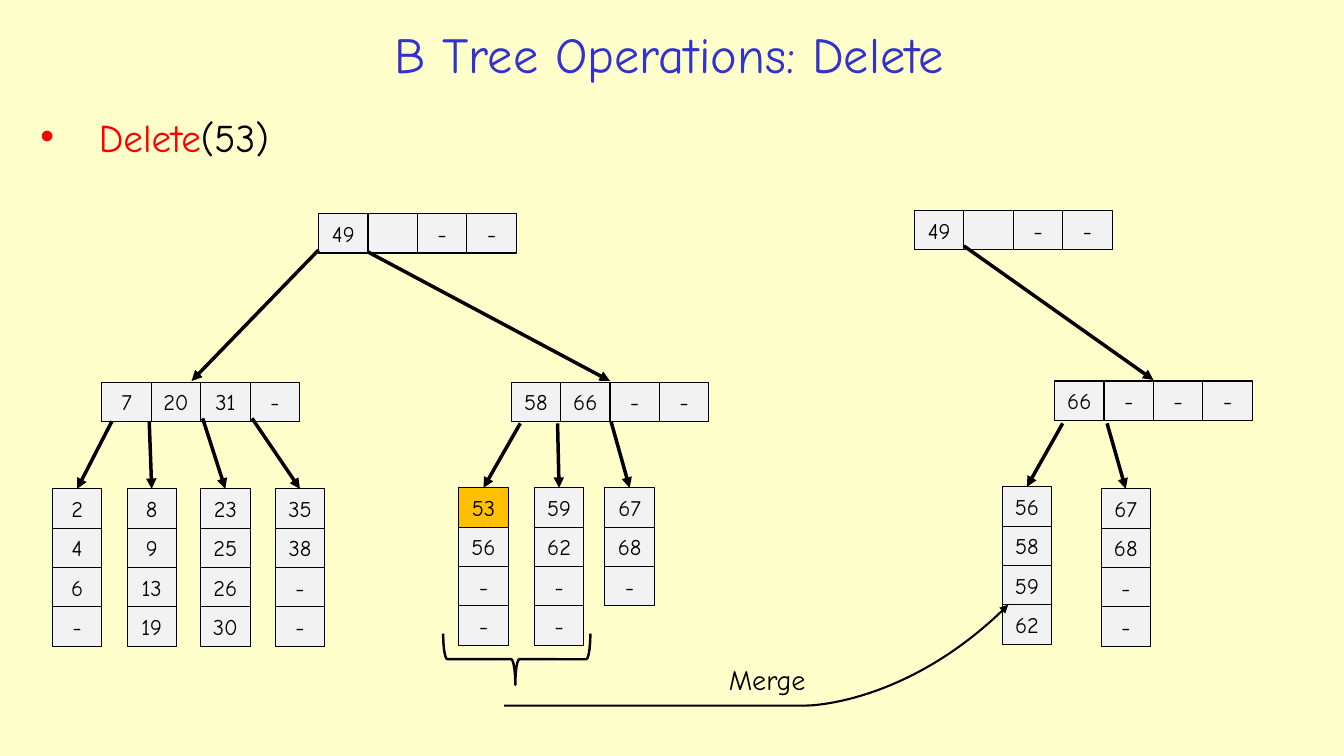
import dataclasses
import typing

import lxml.etree
import pptx
import pptx.dml.color
import pptx.enum.shapes
import pptx.enum.text
import pptx.oxml.ns
import pptx.util

Inches = pptx.util.Inches
Pt = pptx.util.Pt
qn = pptx.oxml.ns.qn
Point = tuple[float, float]

FONT = "Comic Neue"
COLORS = {
    "background": "FFFFCC",
    "title": "3333CC",
    "keyword": "FF0000",
    "ink": "000000",
    "cell": "F2F2F2",
    "deleted": "FFC000",
}
CELL_WIDTH, CELL_HEIGHT = 0.49, 0.39
DELETED_KEY = "53"


@dataclasses.dataclass
class Node:
    """A run of key cells, laid out across or down."""
    left: float
    top: float
    keys: list[str]
    vertical: bool = False
    arrow_from: Point | None = None  # start of the arrow to the first cell


@dataclasses.dataclass
class Arrow:
    start: Point
    end: Point


INNER_NODES = [
    Node(3.16, 2.12, ["49", "", "-", "-"]),
    Node(1.01, 3.79, ["7", "20", "31", "-"]),
    Node(5.07, 3.79, ["58", "66", "-", "-"]),
    Node(9.07, 2.09, ["49", "", "-", "-"]),
    Node(10.46, 3.78, ["66", "-", "-", "-"]),
]
LEAVES = [
    Node(0.52, 4.85, ["2", "4", "6", "-"], True, (1.11, 4.18)),
    Node(1.26, 4.85, ["8", "9", "13", "19"], True, (1.48, 4.18)),
    Node(1.99, 4.85, ["23", "25", "26", "30"], True, (2.01, 4.15)),
    Node(2.73, 4.85, ["35", "38", "-", "-"], True, (2.5, 4.15)),
    Node(4.55, 4.84, [DELETED_KEY, "56", "-", "-"], True, (5.16, 4.2)),
    Node(5.3, 4.84, ["59", "62", "-", "-"], True, (5.53, 4.2)),
    Node(6, 4.84, ["67", "68", "-"], True, (6.06, 4.18)),
    Node(9.94, 4.83, ["56", "58", "59", "62"], True, (10.54, 4.2)),
    Node(10.92, 4.85, ["67", "68", "-", "-"], True, (10.98, 4.2)),
]
ROOT_ARROWS = [
    Arrow((3.16, 2.48), (1.9, 3.78)),
    Arrow((3.65, 2.5), (6.05, 3.78)),
    Arrow((9.56, 2.44), (11.44, 3.77)),
]
# Start point, then two control points and an end point per curve
MERGE_CURVE = [(5.36, 6.67), (6.14, 6.83), (6.93, 7), (7.63, 6.95),
               (8.33, 6.91), (8.94, 6.65), (9.56, 6.39)]


def rgb(name: str) -> pptx.dml.color.RGBColor:
    return pptx.dml.color.RGBColor.from_string(COLORS[name])


def add_text(paragraph: typing.Any, text: str, *, size: float, color: str = "ink",
             align: typing.Any = None) -> None:
    run = paragraph.add_run()
    run.text = text
    run.font.name = FONT
    run.font.size = Pt(size)
    run.font.color.rgb = rgb(color)
    if align is not None:
        paragraph.alignment = align


def place(shape: typing.Any, left: float, top: float, width: float, height: float) -> None:
    shape.left, shape.top = Inches(left), Inches(top)
    shape.width, shape.height = Inches(width), Inches(height)


def style_line(shape: typing.Any, width: float, arrowhead: bool = False) -> None:
    shape.line.color.rgb = rgb("ink")
    shape.line.width = Pt(width)
    if arrowhead:
        line = shape._element.spPr.find(qn("a:ln"))
        lxml.etree.SubElement(line, qn("a:tailEnd"), type="triangle")


def add_cell(slide: typing.Any, left: float, top: float, key: str) -> typing.Any:
    cell = slide.shapes.add_shape(
        pptx.enum.shapes.MSO_SHAPE.RECTANGLE,
        Inches(left), Inches(top), Inches(CELL_WIDTH), Inches(CELL_HEIGHT))
    cell.shadow.inherit = False
    cell.fill.solid()
    cell.fill.fore_color.rgb = rgb("deleted" if key == DELETED_KEY else "cell")
    style_line(cell, 0.75)
    frame = cell.text_frame
    frame.margin_left = frame.margin_right = 0
    frame.vertical_anchor = pptx.enum.text.MSO_ANCHOR.MIDDLE
    if key:
        add_text(frame.paragraphs[0], key, size=16, align=pptx.enum.text.PP_ALIGN.CENTER)
    return cell


def add_arrow(slide: typing.Any, arrow: Arrow, target: typing.Any = None) -> None:
    connector = slide.shapes.add_connector(
        pptx.enum.shapes.MSO_CONNECTOR.STRAIGHT,
        *(Inches(value) for value in arrow.start + arrow.end))
    style_line(connector, 2.5, arrowhead=True)
    lxml.etree.SubElement(connector._element.spPr, qn("a:effectLst"))
    if target is not None:
        connector.end_connect(target, 0)


def add_node(slide: typing.Any, node: Node) -> None:
    step_x, step_y = (0, CELL_HEIGHT) if node.vertical else (CELL_WIDTH, 0)
    cells = [add_cell(slide, node.left + index * step_x, node.top + index * step_y, key)
             for index, key in enumerate(node.keys)]
    if node.arrow_from:
        top_middle = (node.left + CELL_WIDTH / 2, node.top)
        add_arrow(slide, Arrow(node.arrow_from, top_middle), cells[0])


def add_curve(slide: typing.Any, points: list[Point]) -> None:
    builder = slide.shapes.build_freeform(*points[0], scale=Inches(1))
    builder.add_line_segments(points[1:], close=False)
    curve = builder.convert_to_shape()
    # Turn each three line segments into one cubic curve
    segments = list(curve._element.iter(qn("a:lnTo")))
    for first in range(0, len(segments), 3):
        cubic = lxml.etree.Element(qn("a:cubicBezTo"))
        segments[first].addprevious(cubic)
        for segment in segments[first:first + 3]:
            cubic.append(segment[0])
            segment.getparent().remove(segment)
    curve.shadow.inherit = False
    curve.fill.background()
    style_line(curve, 1.5, arrowhead=True)


def add_headings(slide: typing.Any) -> None:
    title, body = slide.shapes.title, slide.placeholders[1]
    place(title, 0.97, 0.15, 11.33, 0.76)
    title.text_frame.vertical_anchor = pptx.enum.text.MSO_ANCHOR.MIDDLE
    add_text(title.text_frame.paragraphs[0], "B Tree Operations: Delete", size=36,
             color="title", align=pptx.enum.text.PP_ALIGN.CENTER)

    place(body, 0.3, 1.07, 12.67, 0.69)
    body.text_frame.auto_size = pptx.enum.text.MSO_AUTO_SIZE.NONE
    paragraph = body.text_frame.paragraphs[0]
    properties = paragraph._p.get_or_add_pPr()
    properties.set("marL", str(Inches(0.58)))
    properties.set("indent", str(-Inches(0.58)))
    lxml.etree.SubElement(properties, qn("a:buChar"), char="•")
    paragraph.space_before = Pt(0)
    add_text(paragraph, "Delete", size=28, color="keyword")
    add_text(paragraph, "(53)", size=28)


def add_merge(slide: typing.Any) -> None:
    brace = slide.shapes.add_shape(
        pptx.enum.shapes.MSO_SHAPE.RIGHT_BRACE,
        Inches(4.87), Inches(5.81), Inches(0.51), Inches(1.46))
    brace.rotation = 90
    brace.adjustments[0], brace.adjustments[1] = 0.08, 0.51
    brace.shadow.inherit = False
    brace.fill.background()
    style_line(brace, 1.75)
    add_curve(slide, MERGE_CURVE)
    label = slide.shapes.add_textbox(Inches(7.13), Inches(6.52), Inches(1.04), Inches(0.44))
    label.text_frame.word_wrap = False
    add_text(label.text_frame.paragraphs[0], "Merge", size=20)


def main() -> None:
    presentation = pptx.Presentation()
    presentation.slide_width, presentation.slide_height = Inches(13.33), Inches(7.5)
    slide = presentation.slides.add_slide(presentation.slide_layouts[1])
    slide.background.fill.solid()
    slide.background.fill.fore_color.rgb = rgb("background")

    add_headings(slide)
    # Trees before and after the merge
    for node in INNER_NODES + LEAVES:
        add_node(slide, node)
    for arrow in ROOT_ARROWS:
        add_arrow(slide, arrow)
    add_merge(slide)
    presentation.save("out.pptx")


if __name__ == "__main__":
    main()
